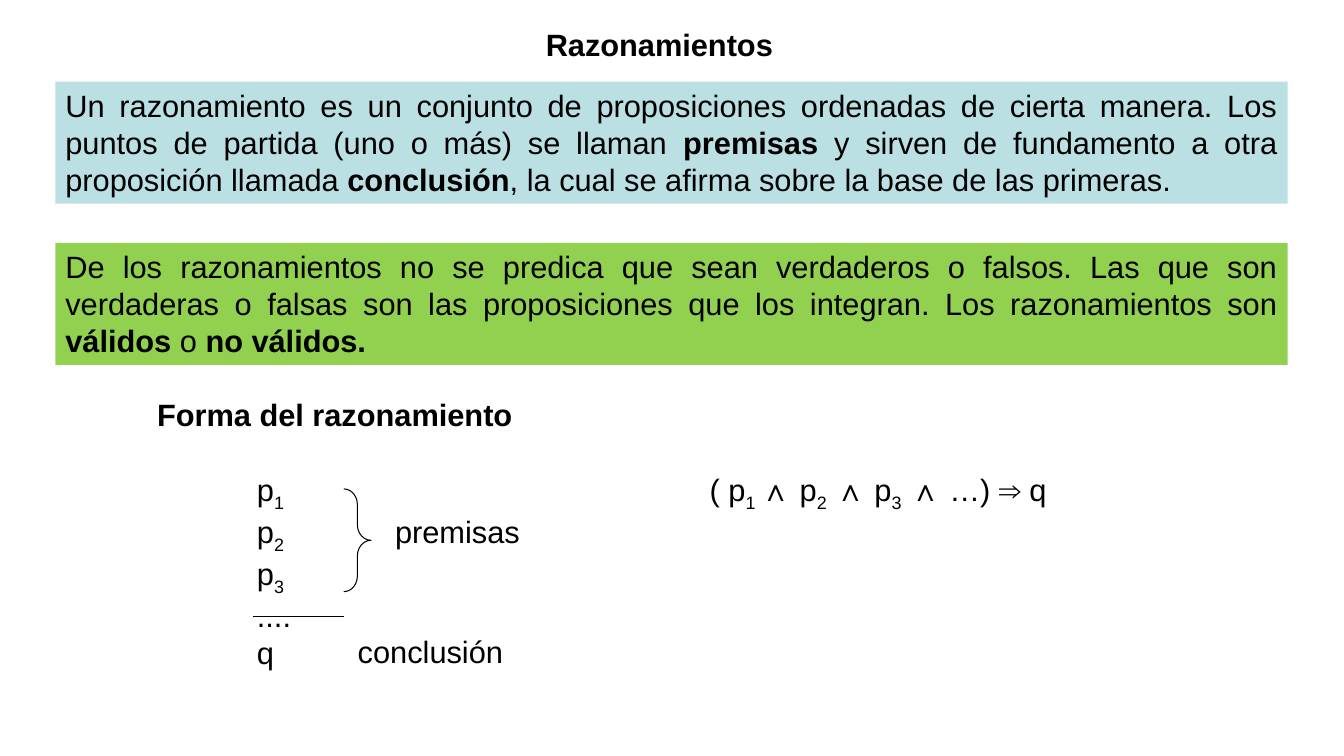
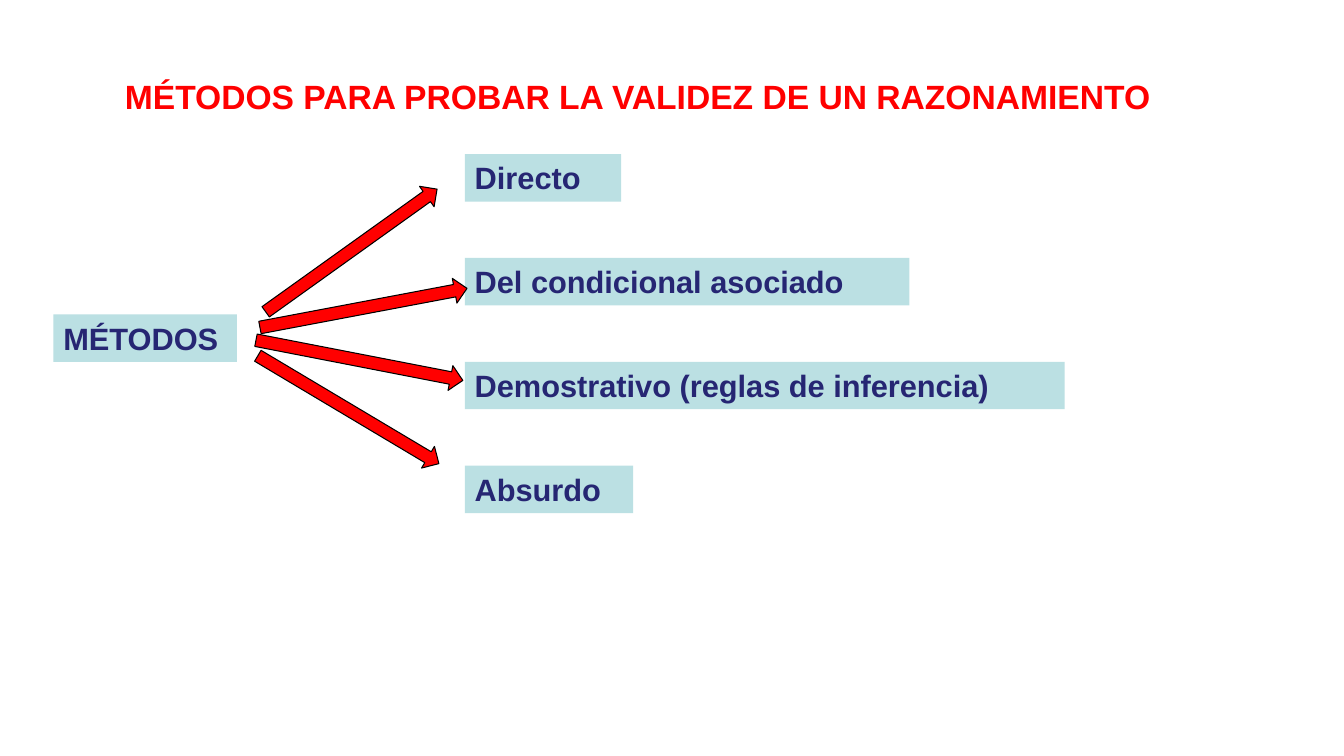
from dataclasses import dataclass

from pptx import Presentation
from pptx import util as u
from pptx.dml.color import RGBColor
from pptx.enum import shapes, text
from pptx.oxml.ns import qn
from lxml import etree


@dataclass(frozen=True)
class Theme:
    font: str = "Arial"
    body: int = 22
    heading: int = 24
    hairline: float = 0.75
    black: RGBColor = RGBColor(0x00, 0x00, 0x00)
    navy: RGBColor = RGBColor(0x26, 0x26, 0x73)
    red: RGBColor = RGBColor(0xFF, 0x00, 0x00)
    aqua: RGBColor = RGBColor(0xBB, 0xE0, 0xE3)
    green: RGBColor = RGBColor(0x92, 0xD0, 0x50)


theme = Theme()
PX = 9144
ALIGN = text.PP_ALIGN
SHAPE = shapes.MSO_SHAPE


def add_text(slide, box, lines, fill=None, color=theme.black, size=theme.body,
             bold=None, align=ALIGN.LEFT):
    panel = slide.shapes.add_textbox(*(v * PX for v in box))
    if fill is not None:
        panel.fill.solid()
        panel.fill.fore_color.rgb = fill
    frame = panel.text_frame
    frame.word_wrap = True
    for i, line in enumerate(lines):
        paragraph = frame.paragraphs[0] if i == 0 else frame.add_paragraph()
        paragraph.alignment = align
        paragraph.font.name = theme.font
        paragraph.font.size = u.Pt(size)
        paragraph.font.color.rgb = color
        paragraph.font.bold = bold
        for words, style in line:
            run = paragraph.add_run()
            run.text = words
            if style == "bold":
                run.font.bold = True
            elif style == "sub":
                run.font._element.set("baseline", "-25000")


def add_outlined(slide, kind, box, fill=None, rotation=0):
    outlined = slide.shapes.add_shape(kind, *(v * PX for v in box))
    outlined.shadow.inherit = False
    outlined.rotation = rotation
    outlined.line.color.rgb = theme.black
    outlined.line.width = u.Pt(theme.hairline)
    if fill is None:
        outlined.fill.background()
    else:
        outlined.fill.solid()
        outlined.fill.fore_color.rgb = fill
    return outlined


deck = Presentation()
deck.slide_width = 1333 * PX
deck.slide_height = 750 * PX
blank = deck.slide_layouts[6]

reasoning = deck.slides.add_slide(blank)
add_text(reasoning, (223, 21, 862, 47), [[("Razonamientos", "")]],
         bold=True, align=ALIGN.CENTER)

definition = [
    ("Un razonamiento es un conjunto de proposiciones ordenadas de cierta manera. "
     "Los puntos de partida (uno o más) se llaman ", ""),
    ("premisas ", "bold"),
    ("y sirven de fundamento a otra proposición llamada ", ""),
    ("conclusión", "bold"),
    (", la cual se afirma sobre la base de las primeras.", ""),
]
validity = [
    ("De los razonamientos no se predica que sean verdaderos o falsos. "
     "Las que son verdaderas o falsas son las proposiciones que los integran. "
     "Los razonamientos son ", ""),
    ("válidos", "bold"),
    (" o ", ""),
    ("no válidos.", "bold"),
]
for top, statement, fill in ((81, definition, theme.aqua), (241, validity, theme.green)):
    add_text(reasoning, (55, top, 1222, 121), [statement], fill, align=ALIGN.JUSTIFY)

add_text(reasoning, (146, 388, 500, 47), [[("Forma del razonamiento", "")]], bold=True)

premises = [[("p", ""), (str(n), "sub")] for n in (1, 2, 3)]
add_text(reasoning, (245, 462, 90, 208), premises + [[("....", "")], [("q", "")]])
formula = [
    ("( p", ""), ("1 ", "sub"), ("∧ p", ""), ("2", "sub"),
    (" ∧ p", ""), ("3", "sub"), (" ∧ …) ⇒ q", ""),
]
for left, top, width, line in (
    (694, 462, 500, formula),
    (382, 504, 200, [("premisas", "")]),
    (345, 623, 200, [("conclusión", "")]),
):
    add_text(reasoning, (left, top, width, 47), [line])

brace = add_outlined(reasoning, SHAPE.RIGHT_BRACE, (341, 485, 27, 102))
brace.adjustments[0] = 0.57
rule = reasoning.shapes.add_connector(
    shapes.MSO_CONNECTOR.STRAIGHT, 251 * PX, 612 * PX, 341 * PX, 612 * PX)
rule.line.color.rgb = theme.black
rule.line.width = u.Pt(theme.hairline)
etree.SubElement(rule._element.spPr, qn("a:effectLst"))

methods = deck.slides.add_slide(blank)
add_text(methods, (114, 70, 1105, 50),
         [[("MÉTODOS PARA PROBAR LA VALIDEZ DE UN RAZONAMIENTO", "")]],
         color=theme.red, size=theme.heading, bold=True)

labels = [("MÉTODOS", 53, 312, 182)]
for row, (method, width) in enumerate((
    ("Directo", 155),
    ("Del condicional asociado", 441),
    ("Demostrativo (reglas de inferencia)", 595),
    ("Absurdo", 167),
)):
    labels.append((method, 461, 153 + 103 * row, width))
for label, left, top, width in labels:
    add_text(methods, (left, top, width, 47), [[(label, "")]],
             theme.aqua, theme.navy, bold=True)

for left, top, angle in ((244, 236, 324.4), (256, 293, 349.3), (252, 345, 11), (241, 394, 30.8)):
    add_outlined(methods, SHAPE.RIGHT_ARROW, (left, top, 209, 25), theme.red, angle)

deck.save("out.pptx")
